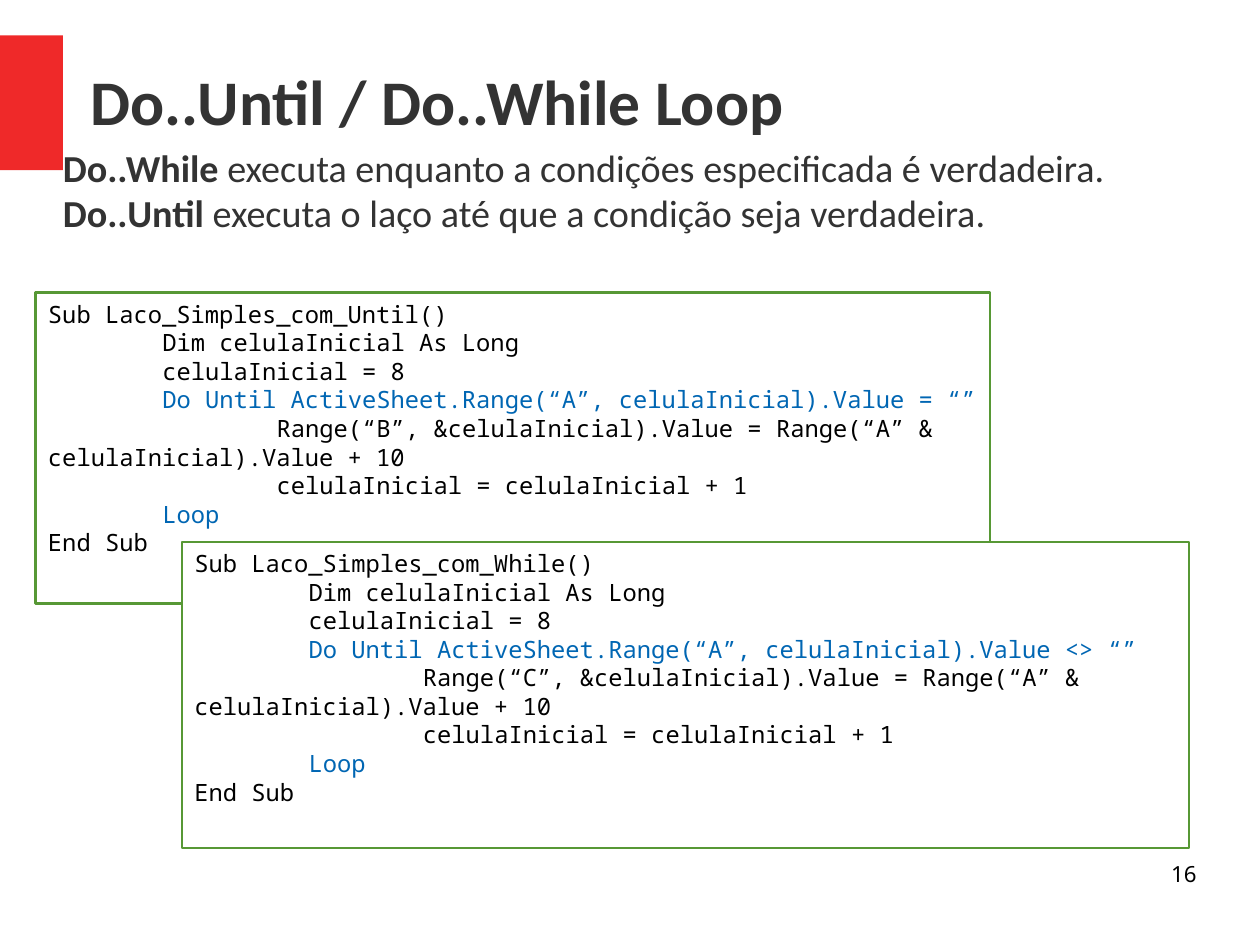
import pptx
import pptx.dml.color
import pptx.enum.shapes
import pptx.enum.text
import pptx.oxml
import pptx.oxml.ns
import pptx.util
from pptx.util import Inches

RGBColor = pptx.dml.color.RGBColor
Align = pptx.enum.text.PP_ALIGN
Anchor = pptx.enum.text.MSO_ANCHOR

CM_PER_INCH = 2.54
RED = RGBColor(0xEF, 0x29, 0x29)
GREEN = RGBColor(0x57, 0x98, 0x35)
BLUE = RGBColor(0x00, 0x66, 0xB3)
GREY = RGBColor(0x33, 0x33, 0x33)
BLACK = RGBColor(0, 0, 0)
WHITE = RGBColor(0xFF, 0xFF, 0xFF)


def set_values(target, values):
    for name, value in values.items():
        setattr(target, name, value)


class SlideBuilder:
    """Holds the text styles and the current slide."""

    styles = {
        "title": {"name": "Calibri", "size": pptx.util.Pt(40), "bold": True},
        "body": {"name": "Calibri", "size": pptx.util.Pt(24)},
        "code": {"name": "Noto Sans Mono", "size": pptx.util.Pt(15)},
        "number": {"name": "Noto Sans", "size": pptx.util.Pt(14)},
    }

    def __init__(self, slide):
        self.slide = slide

    def add_run(self, paragraph, text, style, color, **extra):
        run = paragraph.add_run()
        run.text = text
        set_values(run.font, {**self.styles[style], **extra})
        run.font.color.rgb = color

    def format_frame(self, frame, side=0, top=0, anchor=Anchor.TOP):
        set_values(frame, {
            "word_wrap": True,
            "auto_size": pptx.enum.text.MSO_AUTO_SIZE.NONE,
            "vertical_anchor": anchor,
            "margin_left": Inches(side), "margin_right": Inches(side),
            "margin_top": Inches(top), "margin_bottom": Inches(top),
        })

    def title(self, text, left, top, width, height):
        shape = self.slide.shapes.title
        set_values(shape, {"left": Inches(left), "top": Inches(top),
                           "width": Inches(width), "height": Inches(height)})
        self.format_frame(shape.text_frame, anchor=Anchor.MIDDLE)
        paragraph = shape.text_frame.paragraphs[0]
        paragraph.alignment = Align.LEFT
        self.add_run(paragraph, text, "title", GREY)

    def rectangle(self, left, top, width, height, fill=None, line=None):
        shape = self.slide.shapes.add_shape(
            pptx.enum.shapes.MSO_SHAPE.RECTANGLE,
            Inches(left), Inches(top), Inches(width), Inches(height))
        shape.shadow.inherit = False
        if fill is None:
            shape.fill.background()
        else:
            shape.fill.solid()
            shape.fill.fore_color.rgb = fill
        if line is None:
            shape.line.fill.background()
        else:
            shape.line.color.rgb = line
            shape.line.width = pptx.util.Pt(1.42)
        return shape

    def text_box(self, left, top, width, height, alignment=Align.LEFT):
        shape = self.slide.shapes.add_textbox(
            Inches(left), Inches(top), Inches(width), Inches(height))
        self.format_frame(shape.text_frame)
        paragraph = shape.text_frame.paragraphs[0]
        paragraph.alignment = alignment
        return paragraph

    def definitions(self, entries, *box):
        paragraph = self.text_box(*box)
        for index, (term, meaning) in enumerate(entries):
            if index:
                paragraph.add_line_break()
            self.add_run(paragraph, term, "body", GREY, bold=True)
            self.add_run(paragraph, meaning, "body", GREY, bold=False)

    def code_box(self, lines, *box, fill=None):
        frame = self.rectangle(*box, fill=fill, line=GREEN).text_frame
        self.format_frame(frame, side=0.11, top=0.06)
        for index, line in enumerate(lines):
            paragraph = frame.add_paragraph() if index else frame.paragraphs[0]
            self.add_tabs(paragraph)
            paragraph.alignment = Align.LEFT
            is_loop_line = line.strip().startswith(("Do ", "Loop"))
            self.add_run(paragraph, line, "code", BLUE if is_loop_line else BLACK)

    def add_tabs(self, paragraph):
        properties = paragraph._p.get_or_add_pPr()
        tab_list = pptx.oxml.parse_xml(
            f"<a:tabLst {pptx.oxml.ns.nsdecls('a')}/>")
        for position in (1, 2):
            tab = tab_list.makeelement(pptx.oxml.ns.qn("a:tab"), {
                "pos": str(Inches(position)), "algn": "l"})
            tab_list.append(tab)
        properties.append(tab_list)


def macro_lines(name, column, condition):
    return [
        f"Sub Laco_Simples_com_{name}()",
        "\tDim celulaInicial As Long",
        "\tcelulaInicial = 8",
        f"\tDo Until ActiveSheet.Range(“A”, celulaInicial).Value {condition} “”",
        f"\t\tRange(“{column}”, &celulaInicial).Value = "
        "Range(“A” & celulaInicial).Value + 10",
        "\t\tcelulaInicial = celulaInicial + 1",
        "\tLoop",
        "End Sub",
    ]


def main():
    # Slide of 28 by 21 centimetres
    presentation = pptx.Presentation()
    presentation.slide_width = Inches(28 / CM_PER_INCH)
    presentation.slide_height = Inches(21 / CM_PER_INCH)
    title_only = presentation.slide_layouts[5]
    builder = SlideBuilder(presentation.slides.add_slide(title_only))

    # Heading
    builder.rectangle(0, 0.31, 0.55, 1.18, fill=RED)
    builder.title("Do..Until / Do..While Loop", 0.79, 0.33, 9.68, 1.09)

    # Definitions
    builder.definitions([
        ("Do..While", " executa enquanto a condições especificada é verdadeira."),
        ("Do..Until", " executa o laço até que a condição seja verdadeira."),
    ], 0.55, 1.26, 10.47, 0.94)

    # Code examples
    builder.code_box(macro_lines("Until", "B", "="), 0.31, 2.56, 8.35, 2.72)
    builder.code_box(macro_lines("While", "C", "<>"), 1.59, 4.74, 8.81, 2.68,
                     fill=WHITE)

    # Slide number
    number = builder.text_box(7.9, 7.53, 2.57, 0.57, Align.RIGHT)
    builder.add_run(number, "16", "number", BLACK)

    presentation.save("out.pptx")


if __name__ == "__main__":
    main()
